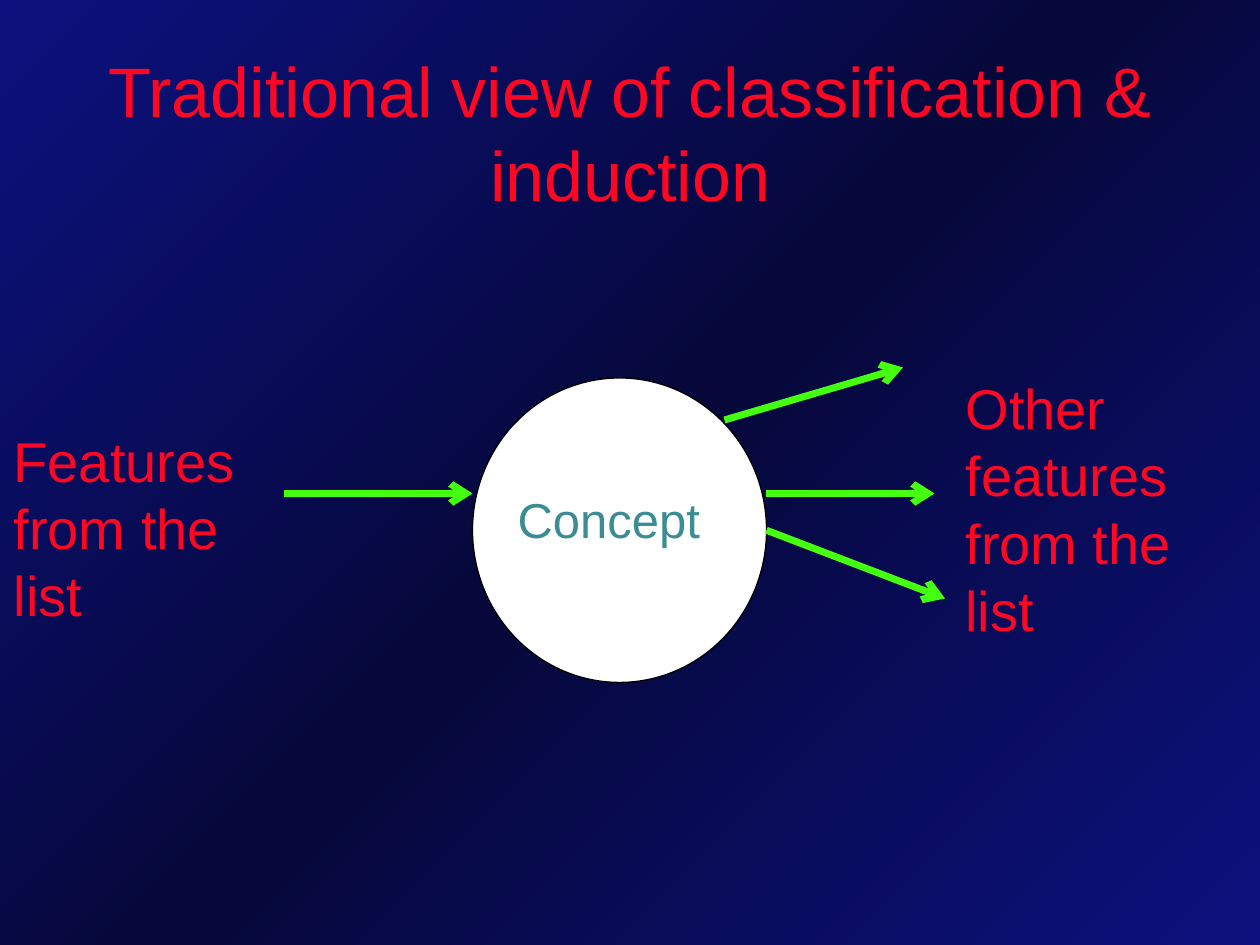
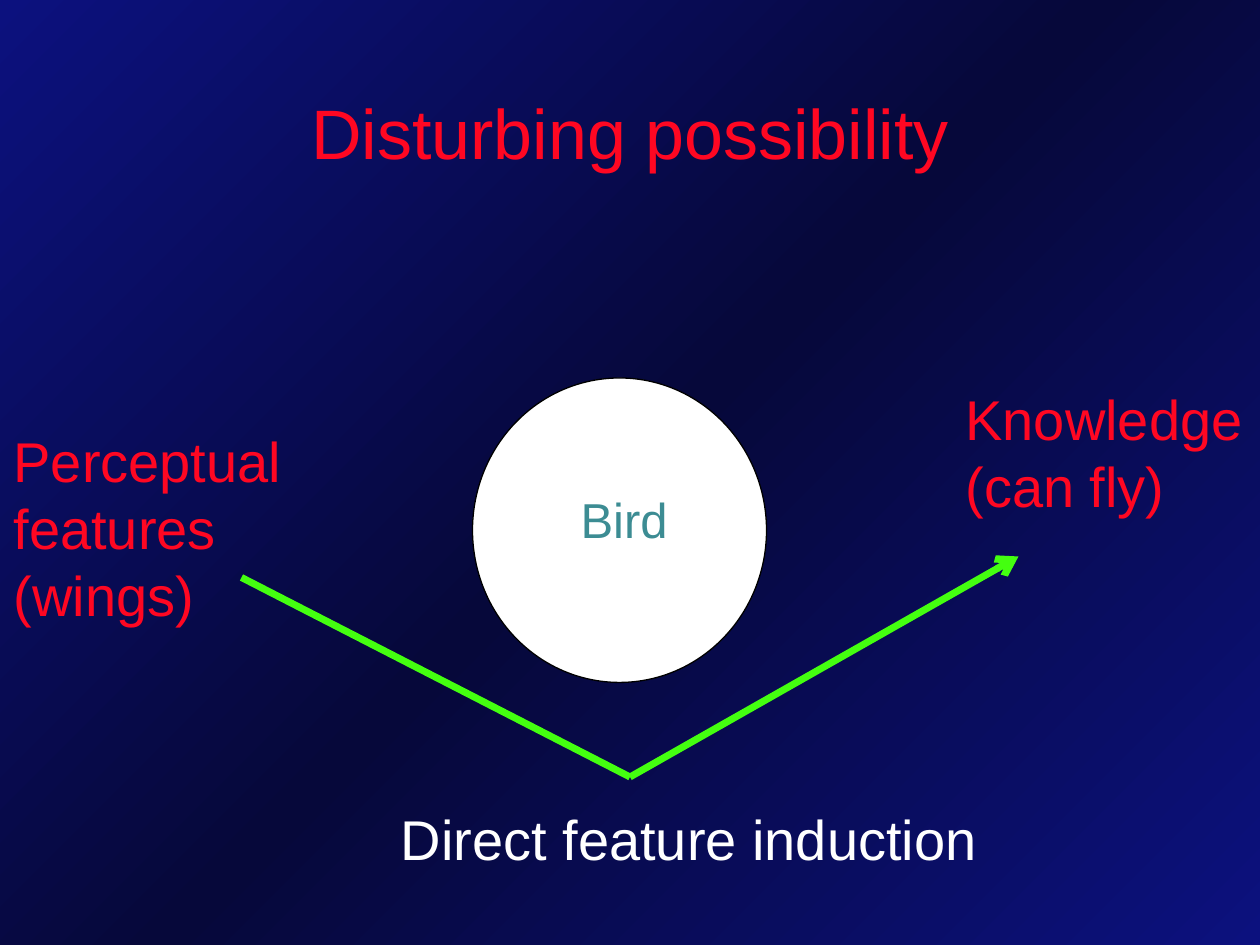
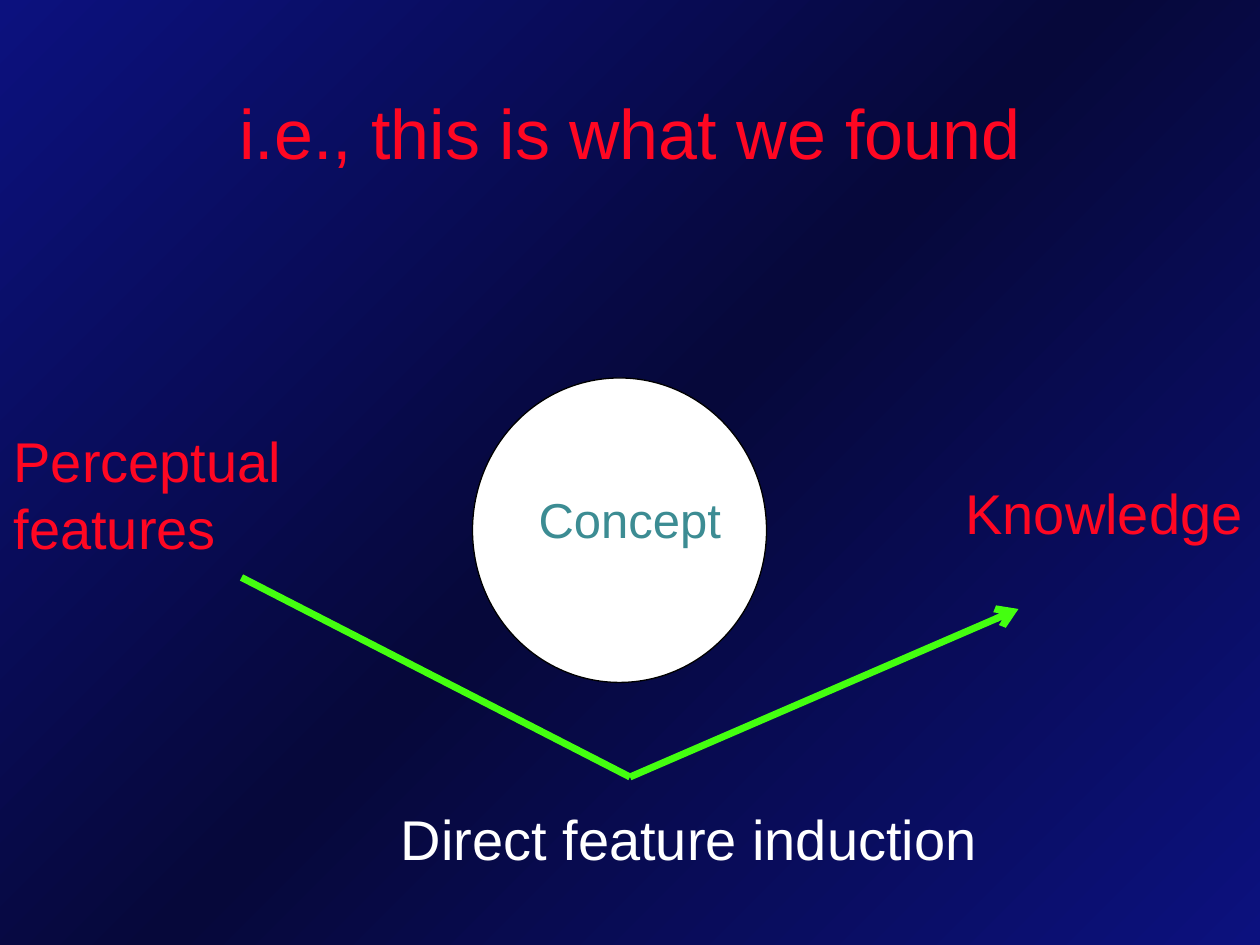
from copy import deepcopy

from lxml import etree
from pptx import Presentation
from pptx import util as u
from pptx.dml.color import RGBColor
from pptx.enum import shapes, text
from pptx.oxml.ns import qn

BLUE = RGBColor(0x0C, 0x11, 0x7E)
NAVY = RGBColor(0x06, 0x08, 0x3A)
RED = RGBColor(0xFF, 0x07, 0x22)
GREEN = RGBColor(0x44, 0xFF, 0x10)
TEAL = RGBColor(0x3C, 0x8C, 0x93)
WHITE = RGBColor(0xFF, 0xFF, 0xFF)
BLACK = RGBColor(0, 0, 0)

COLUMNS, ROWS = 120, 90
FONT = "Arial"
LEFT_TEXT, RIGHT_TEXT = 0.12, 90.77
MEETING_POINT = (60, 74)


class Deck:
    def __init__(self):
        self.presentation = Presentation()
        self.presentation.slide_width = u.Inches(10)
        self.presentation.slide_height = u.Inches(7.5)
        self.slide = None

    def place(self, column, row):
        """Turn grid columns and rows into slide lengths."""
        return (round(self.presentation.slide_width * column / COLUMNS),
                round(self.presentation.slide_height * row / ROWS))

    def new_slide(self, title):
        self.slide = self.presentation.slides.add_slide(self.presentation.slide_layouts[6])
        self.paint_background()
        frame = self.text(title, 9, 5, 102, 15, size=40)
        frame.auto_size = text.MSO_AUTO_SIZE.NONE
        frame.vertical_anchor = text.MSO_ANCHOR.MIDDLE
        frame.paragraphs[0].alignment = text.PP_ALIGN.CENTER

    def paint_background(self):
        fill = self.slide.background.fill
        fill.gradient()
        fill.gradient_angle = 135
        stop_list = self.slide.element.find(".//" + qn("a:gsLst"))
        stop_list.insert(1, deepcopy(stop_list[0]))
        for stop, color, position in zip(fill.gradient_stops, (BLUE, NAVY, BLUE), (0, 0.5, 1)):
            stop.color.rgb = color
            stop.position = position

    def text(self, content, column, row, width, height=None, size=32, color=RED, wrap=True):
        """Add a text box; without a height it fits the number of lines."""
        if height is None:
            height = size * len(content.split("\n")) / 5 + 1.2
        box = self.slide.shapes.add_textbox(*self.place(column, row), *self.place(width, height))
        frame = box.text_frame
        frame.text = content
        frame.word_wrap = wrap
        frame.auto_size = text.MSO_AUTO_SIZE.SHAPE_TO_FIT_TEXT
        for paragraph in frame.paragraphs:
            for run in paragraph.runs:
                run.font.name = FONT
                run.font.size = u.Pt(size)
                run.font.color.rgb = color
        return frame

    def concept(self, label, column, width):
        circle = self.slide.shapes.add_shape(
            shapes.MSO_SHAPE.OVAL, *self.place(45, 36), *self.place(28, 29))
        circle.shadow.inherit = False
        circle.fill.solid()
        circle.fill.fore_color.rgb = WHITE
        circle.line.color.rgb = BLACK
        circle.line.width = u.Pt(0.75)
        self.text(label, column, 46, width, size=28, color=TEAL, wrap=False)

    def line(self, start, end, arrow=True):
        connector = self.slide.shapes.add_connector(
            shapes.MSO_CONNECTOR.STRAIGHT, *self.place(*start), *self.place(*end))
        connector.line.color.rgb = GREEN
        connector.line.width = u.Pt(4)
        properties = connector.element.spPr
        if arrow:
            etree.SubElement(properties.find(qn("a:ln")), qn("a:tailEnd"), type="arrow")
        etree.SubElement(properties, qn("a:effectLst"))

    def induction(self, arrow_end):
        """Add the caption and the path that goes round the concept."""
        self.text("Direct feature induction", 37, 76, 57.5, color=WHITE, wrap=False)
        self.line((23, 55), MEETING_POINT, arrow=False)
        self.line(MEETING_POINT, arrow_end)


def main():
    deck = Deck()
    right_width = COLUMNS - RIGHT_TEXT

    deck.new_slide("Traditional view of classification & induction")
    deck.concept("Concept", 48.12, 19.9)
    deck.text("Features\nfrom the\nlist", LEFT_TEXT, 40, 23.7, wrap=False)
    deck.text("Other\nfeatures\nfrom the list", RIGHT_TEXT, 35, right_width, 26.8)
    for start, end in (((27, 47), (45, 47)), ((73, 47), (89, 47)),
                       ((69, 40), (86, 35)), ((73, 50.5), (90, 57))):
        deck.line(start, end)

    bypass_slides = (
        ("Disturbing possibility", ("Bird", 54.12, 10.68),
         "Perceptual\nfeatures\n(wings)", "Knowledge\n(can fly)", 36, (97, 53)),
        ("i.e., this is what we found", ("Concept", 50.12, 19.9),
         "Perceptual\nfeatures", "Knowledge", 45, (97, 58)),
    )
    for title, concept, features, knowledge, knowledge_row, arrow_end in bypass_slides:
        deck.new_slide(title)
        deck.concept(*concept)
        deck.text(features, LEFT_TEXT, 40, 27.96, wrap=False)
        deck.text(knowledge, RIGHT_TEXT, knowledge_row, right_width)
        deck.induction(arrow_end)

    deck.presentation.save("out.pptx")


if __name__ == "__main__":
    main()
